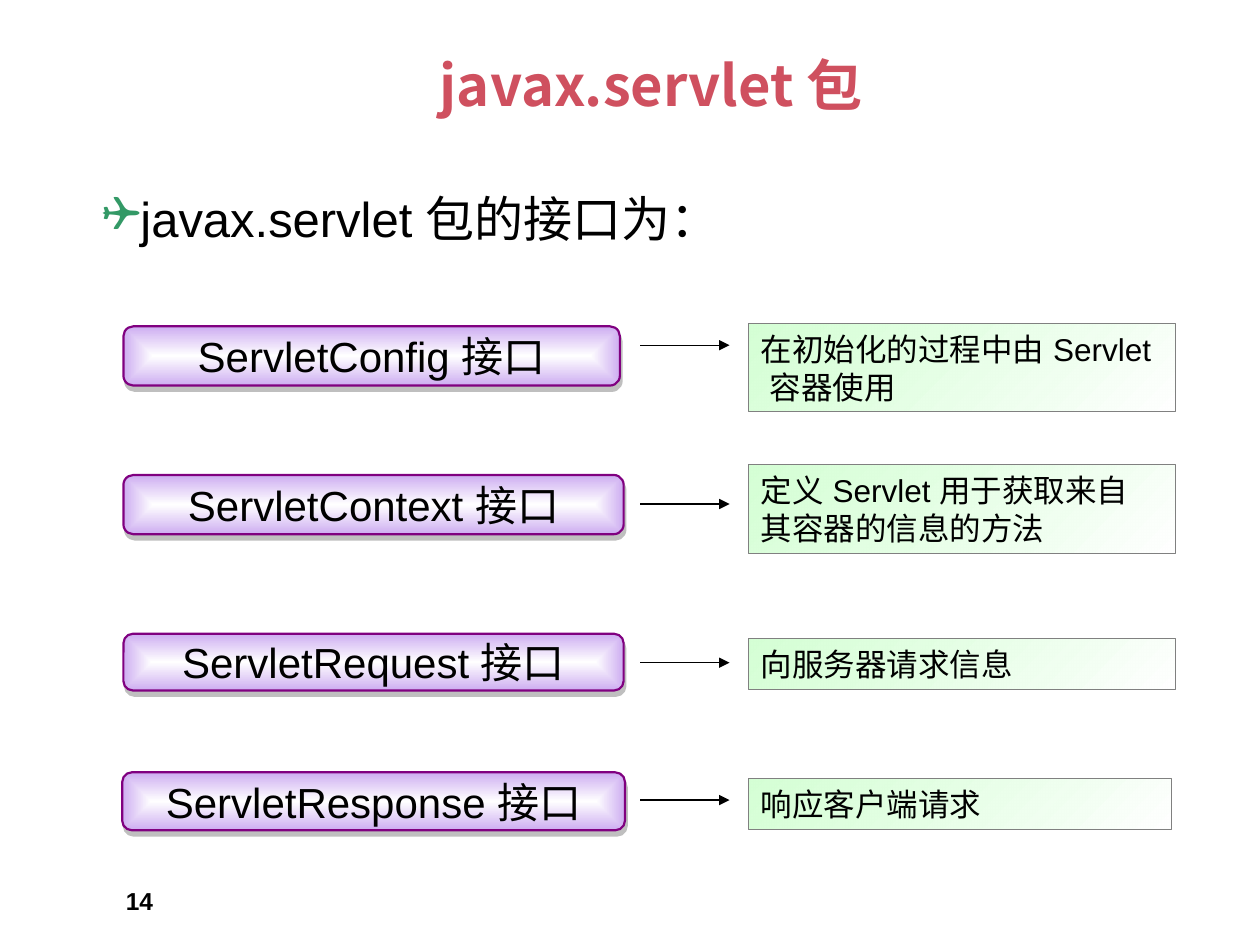
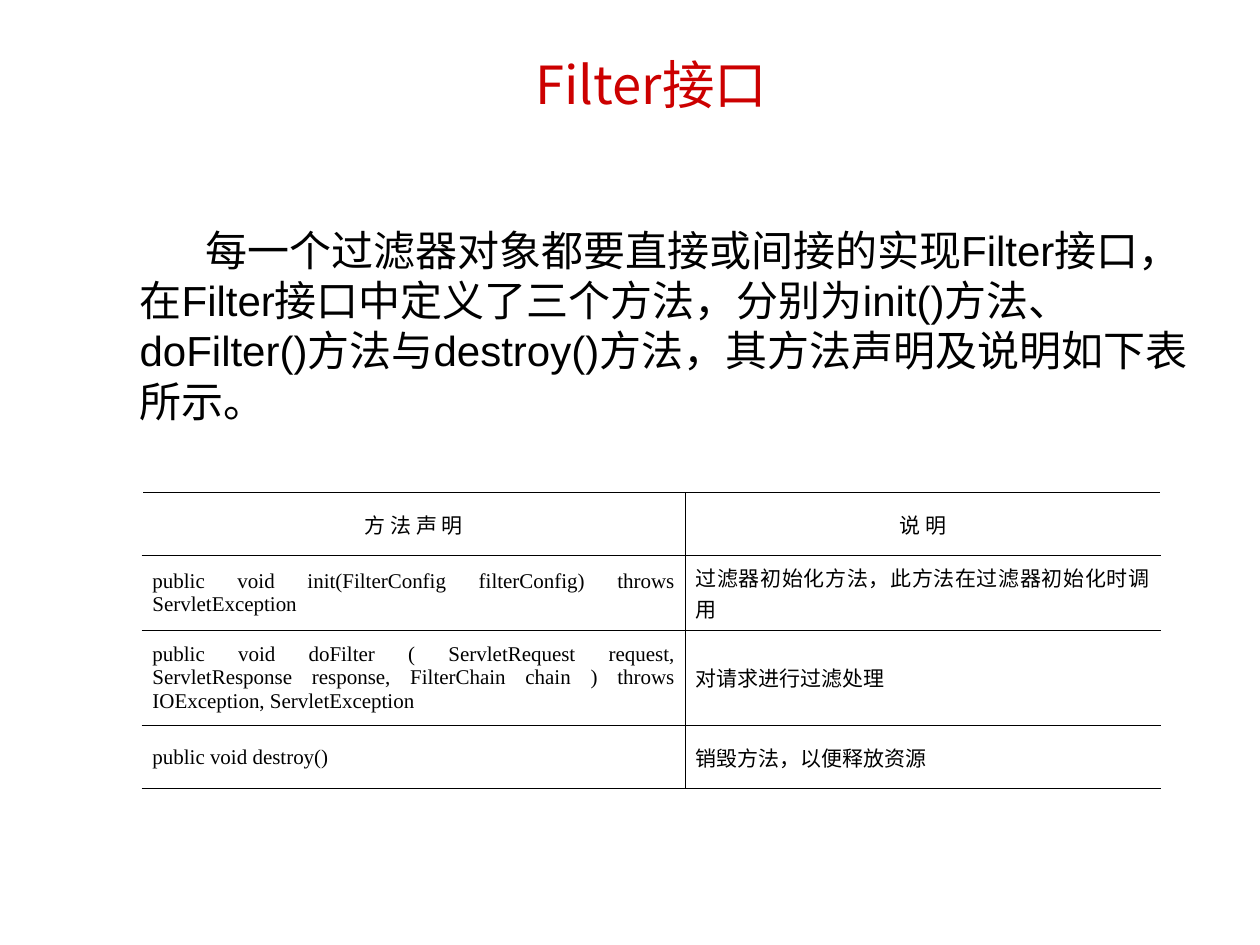
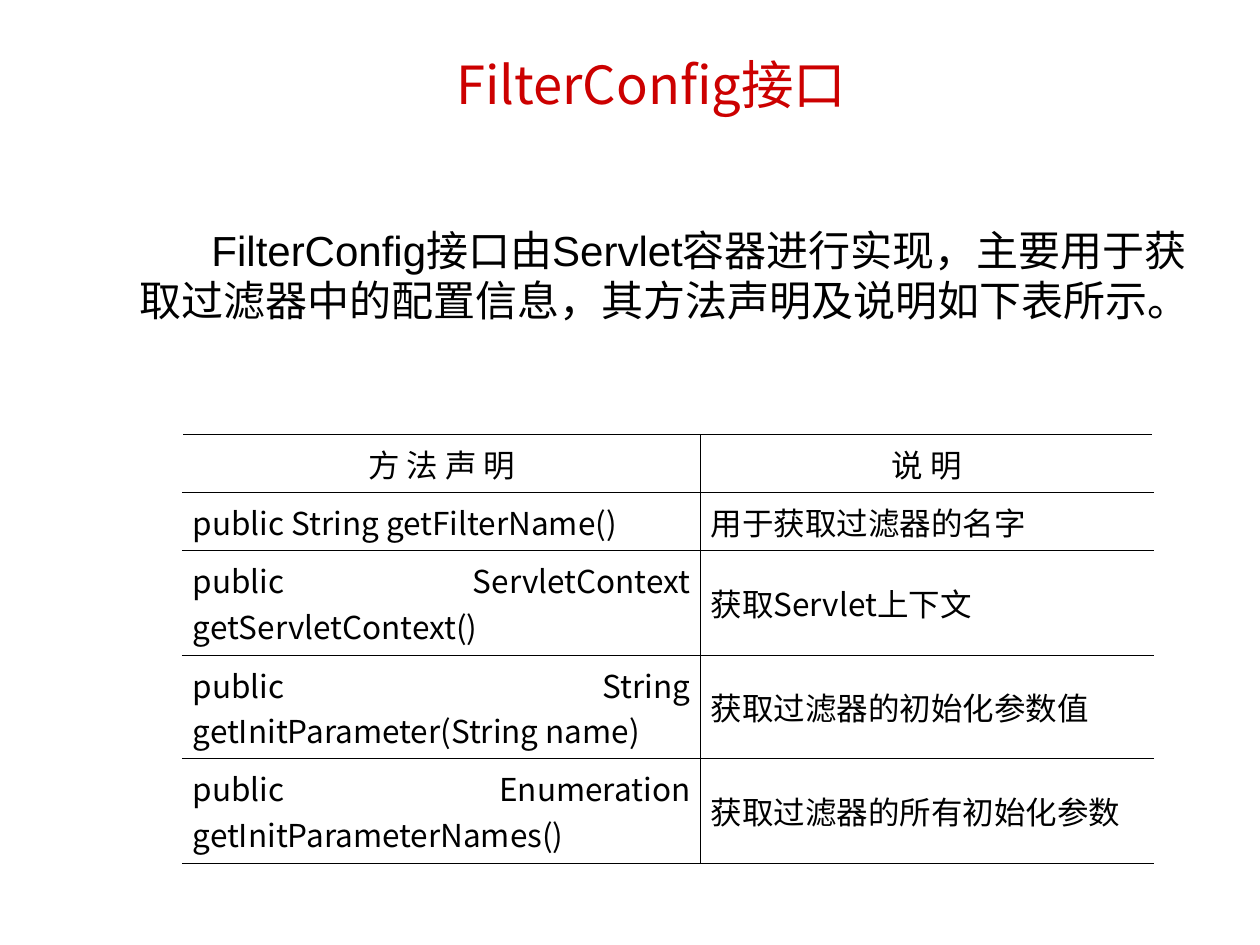
from lxml import etree
from pptx import Presentation
from pptx.dml.color import RGBColor
from pptx.enum.lang import MSO_LANGUAGE_ID as LANG
from pptx.enum.shapes import MSO_CONNECTOR, MSO_SHAPE as SHAPE
from pptx.enum.text import MSO_ANCHOR as ANCHOR, PP_ALIGN as ALIGN
from pptx.oxml import parse_xml
from pptx.oxml.ns import nsdecls, qn
from pptx.util import Inches, Pt

BLACK = RGBColor(0, 0, 0)
RED = RGBColor(0xCC, 0, 0)
ROSE = RGBColor(0xCF, 0x50, 0x5F)
PURPLE = RGBColor(0x80, 0, 0x80)
GRAY = RGBColor(0x80, 0x80, 0x80)
ARIAL, CJK, TIMES = "Arial", "Noto Sans CJK SC", "Times New Roman"
NS = nsdecls("a")
COL = ROW = Inches(1)

PILL_FILL = f"""<a:gradFill {NS} rotWithShape="1"><a:gsLst>
<a:gs pos="0"><a:srgbClr val="FFFFFF"/></a:gs>
<a:gs pos="100000"><a:srgbClr val="CDADF1"/></a:gs></a:gsLst>
<a:path path="rect"><a:fillToRect l="50000" t="50000" r="50000" b="50000"/></a:path></a:gradFill>"""
NOTE_FILL = f"""<a:gradFill {NS} rotWithShape="1"><a:gsLst>
<a:gs pos="0"><a:srgbClr val="CCFFCC"><a:alpha val="81000"/></a:srgbClr></a:gs>
<a:gs pos="100000"><a:srgbClr val="FFFFFF"/></a:gs></a:gsLst>
<a:lin ang="2700000" scaled="1"/></a:gradFill>"""
PILL_SHADOW = f"""<a:outerShdw {NS} dist="40640" dir="4320000" algn="ctr" rotWithShape="0">
<a:srgbClr val="808080"><a:alpha val="50000"/></a:srgbClr></a:outerShdw>"""


def cells(x, y, w, h):
    return int(x * COL), int(y * ROW), int(w * COL), int(h * ROW)


def write(tf, text, size, font=ARIAL, color=BLACK, align=ALIGN.LEFT, bold=False):
    tf.text = text
    tf.word_wrap = True
    for p in tf.paragraphs:
        p.alignment = align
        for r in p.runs:
            r.font.size, r.font.bold = Pt(size), bold
            r.font.name = font
            r.font.color.rgb = color
            r.font.language_id = LANG.SIMPLIFIED_CHINESE
            ea = etree.SubElement(r.font._element, qn("a:ea"))
            ea.set("typeface", ARIAL if font == ARIAL else CJK)


prs = Presentation()
prs.slide_width, prs.slide_height = 10 * COL, int(7.5 * ROW)

titles = [
    ("javax.servlet 包", 32, ROSE, True),
    ("Filter接口", 30, RED, False),
    ("FilterConfig接口", 30, RED, False),
]
slides = []
for text, size, color, bold in titles:
    s = prs.slides.add_slide(prs.slide_layouts[6])
    tf = s.shapes.add_textbox(*cells(0.67, 0.23, 9, 0.87)).text_frame
    write(tf, text, size, CJK, color, ALIGN.CENTER, bold)
    tf.vertical_anchor = ANCHOR.MIDDLE
    slides.append(s)

s = slides[0]
tf = s.shapes.add_textbox(*cells(0.71, 1.45, 5.24, 0.57)).text_frame
write(tf, "javax.servlet 包的接口为：", 28)
pPr = tf.paragraphs[0]._p.get_or_add_pPr()
for bullet in (
    f'<a:buClr {NS}><a:srgbClr val="339966"/></a:buClr>',
    f'<a:buFont {NS} typeface="Wingdings"/>',
    f'<a:buChar {NS} char="❑"/>',
):
    pPr.append(parse_xml(bullet))

interfaces = [
    ("ServletConfig 接口", (0.98, 2.59, 3.94, 0.47), 2.74,
     "在初始化的过程中由 Servlet\n 容器使用", (5.94, 2.57, 3.39, 0.7)),
    ("ServletContext 接口", (0.98, 3.77, 3.97, 0.47), 4,
     "定义 Servlet 用于获取来自\n其容器的信息的方法", (5.94, 3.69, 3.39, 0.7)),
    ("ServletRequest 接口", (0.98, 5.03, 3.97, 0.45), 5.26,
     "向服务器请求信息", (5.94, 5.07, 3.39, 0.4)),
    ("ServletResponse 接口", (0.97, 6.13, 3.99, 0.46), 6.35,
     "响应客户端请求", (5.94, 6.18, 3.36, 0.4)),
]
for name, pill_box, arrow_y, note, note_box in interfaces:
    for kind, box, fill, line, width, text, size, align, anchor in (
        (SHAPE.FLOWCHART_ALTERNATE_PROCESS, pill_box, PILL_FILL, PURPLE, 1.25,
         name, 24, ALIGN.CENTER, ANCHOR.MIDDLE),
        (SHAPE.RECTANGLE, note_box, NOTE_FILL, GRAY, 0.5,
         note, 18, ALIGN.LEFT, ANCHOR.TOP),
    ):
        sp = s.shapes.add_shape(kind, *cells(*box))
        sp._element.spPr.insert(2, parse_xml(fill))
        sp.line.color.rgb, sp.line.width = line, Pt(width)
        sp.shadow.inherit = False
        if fill == PILL_FILL:
            sp._element.spPr.find(qn("a:effectLst")).append(parse_xml(PILL_SHADOW))
        write(sp.text_frame, text, size, align=align)
        sp.text_frame.vertical_anchor = anchor
    x1, y, x2, _ = cells(5.08, arrow_y, 5.79, 0)
    arrow = s.shapes.add_connector(MSO_CONNECTOR.STRAIGHT, x1, y, x2, y)
    arrow.line.color.rgb, arrow.line.width = BLACK, Pt(0.75)
    etree.SubElement(arrow.line._get_or_add_ln(), qn("a:tailEnd")).set("type", "triangle")
    etree.SubElement(arrow._element.spPr, qn("a:effectLst"))

tf = s.shapes.add_textbox(*cells(0.9, 6.98, 2.33, 0.31)).text_frame
write(tf, "14", 14, bold=True)

HEADER = ("方 法 声 明", "说 明")
method_pages = [
    (slides[1], 1.7, 0.52,
     "每一个过滤器对象都要直接或间接的实现Filter接口，在Filter接口中定义了三个方法，分别为init()方法、"
     "doFilter()方法与destroy()方法，其方法声明及说明如下表所示。",
     (1.13, 3.91, 8.08, 2.35), (4.31, 3.77), (0.5, 0.59, 0.76, 0.5), 12, TIMES,
     [HEADER,
      ("public void init(FilterConfig filterConfig) throws ServletException",
       "过滤器初始化方法，此方法在过滤器初始化时调用"),
      ("public void doFilter ( ServletRequest request, ServletResponse response, "
       "FilterChain chain ) throws IOException, ServletException",
       "对请求进行过滤处理"),
      ("public void destroy()", "销毁方法，以便释放资源")]),
    (slides[2], 0.9, 0.57,
     "FilterConfig接口由Servlet容器进行实现，主要用于获取过滤器中的配置信息，其方法声明及说明如下表所示。",
     (1.45, 3.45, 7.7, 3.4), (4.11, 3.59), (0.46, 0.46, 0.83, 0.82, 0.83), 18, CJK,
     [HEADER,
      ("public String getFilterName()", "用于获取过滤器的名字"),
      ("public ServletContext getServletContext()", "获取Servlet上下文"),
      ("public String getInitParameter(String name)", "获取过滤器的初始化参数值"),
      ("public Enumeration getInitParameterNames()", "获取过滤器的所有初始化参数")]),
]
for s, height, indent, intro, box, widths, heights, size, code_font, rows in method_pages:
    tf = s.shapes.add_textbox(*cells(1.01, 1.73, 8.72, height)).text_frame
    write(tf, intro, 24)
    pPr = tf.paragraphs[0]._p.get_or_add_pPr()
    pPr.set("indent", str(Inches(indent)))
    pPr.set("hangingPunct", "0")

    table = s.shapes.add_table(len(rows), 2, *cells(*box)).table
    table.first_row = table.horz_banding = False
    for column, width in zip(table.columns, widths):
        column.width = int(width * COL)
    for i, row in enumerate(rows):
        table.rows[i].height = int(heights[i] * ROW)
        for j, text in enumerate(row):
            cell = table.cell(i, j)
            font = code_font if i == 0 or j == 0 else CJK
            write(cell.text_frame, text, size, font,
                  align=ALIGN.JUSTIFY if i else ALIGN.CENTER)
            p = cell.text_frame.paragraphs[0]
            p.space_after = Pt(1.2)
            cell.vertical_anchor = ANCHOR.MIDDLE
            cell.margin_left = cell.margin_right = Inches(0.08)
            cell.margin_top = cell.margin_bottom = Inches(0.05)
            tcPr = cell._tc.get_or_add_tcPr()
            for side in ("lnL" if j else "lnR", "lnT", "lnB"):
                tcPr.append(parse_xml(
                    f'<a:{side} {NS} w="5715"><a:solidFill><a:srgbClr val="000000"/>'
                    f'</a:solidFill></a:{side}>'))
            cell.fill.background()

prs.save("out.pptx")
